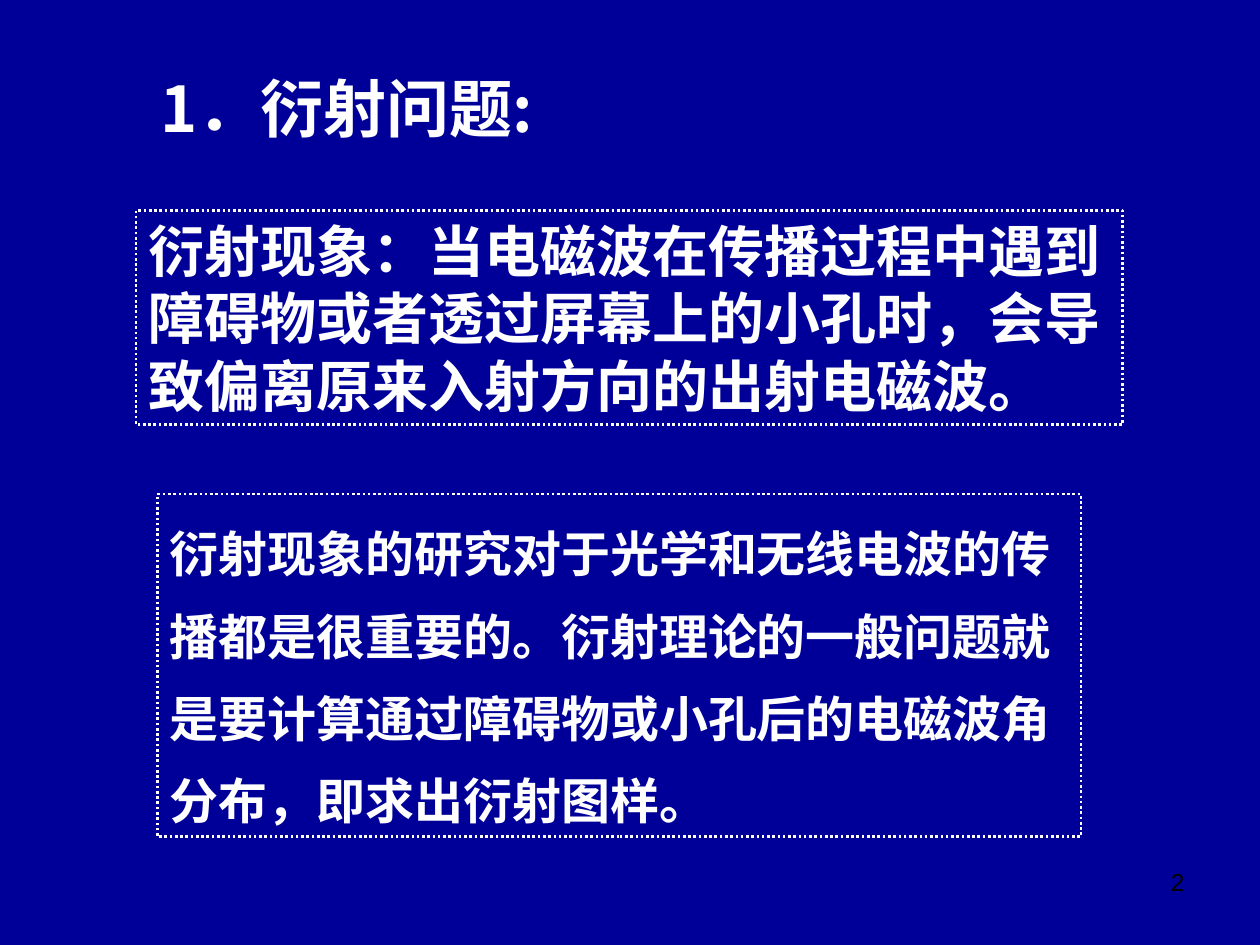
from pptx import Presentation
from pptx.dml.color import RGBColor
from pptx.enum.dml import MSO_LINE
from pptx.enum.shapes import MSO_SHAPE
from pptx.enum.text import MSO_ANCHOR as Anchor, MSO_AUTO_SIZE as Fit, PP_ALIGN as Align
from pptx.oxml.ns import qn
from pptx.util import Inches, Pt

# Content
HEAD = "1．衍射问题:"
NOTES = [  # text, place, size, line spacing
    ("衍射现象：当电磁波在传播过程中遇到障碍物或者透过屏幕上的小孔时，"
     "会导致偏离原来入射方向的出射电磁波。", (1.08, 1.67, 7.83, 1.7), 32, None),
    ("衍射现象的研究对于光学和无线电波的传播都是很重要的。"
     "衍射理论的一般问题就是要计算通过障碍物或小孔后的电磁波角分布，"
     "即求出衍射图样。", (1.25, 3.92, 7.33, 2.72), 28, 1.4),
]
PAGE = "2"
CJK, LATIN = "Noto Sans CJK SC", "Arial"
WHITE, BLACK, NAVY = "FFFFFF", "000000", "000099"


def paint(color, hue):
    color.rgb = RGBColor.from_string(hue)


def place(shape, box):
    shape.left, shape.top, shape.width, shape.height = map(Inches, box)


def write(shape, text, size, face, hue, bold=False, align=Align.LEFT,
          lead=None, wrap=True):
    frame = shape.text_frame
    frame.text = text
    frame.word_wrap = wrap
    frame.auto_size = Fit.NONE
    frame.vertical_anchor = Anchor.TOP
    para = frame.paragraphs[0]
    para.alignment = align
    if lead:
        para.line_spacing = lead
    font = para.runs[0].font
    font.size, font.name, font.bold = Pt(size), face, bold
    paint(font.color, hue)
    east = font._element.makeelement(qn("a:ea"), {"typeface": face})
    font._element.find(qn("a:latin")).addnext(east)


# Slide
deck = Presentation()
deck.slide_width, deck.slide_height = Inches(10), Inches(7.5)
slide = deck.slides.add_slide(deck.slide_layouts[5])
fill = slide.background.fill
fill.solid()
paint(fill.fore_color, NAVY)

# Title
title = slide.shapes.title
place(title, (1.17, 0.5, 3.51, 0.7))
write(title, HEAD, 36, CJK, WHITE, bold=True, wrap=False)

# Dotted boxes
for text, box, size, lead in NOTES:
    note = slide.shapes.add_shape(MSO_SHAPE.RECTANGLE, *map(Inches, box))
    note.shadow.inherit = False
    note.fill.background()
    paint(note.line.color, WHITE)
    note.line.width = Pt(1.5)
    note.line.dash_style = MSO_LINE.ROUND_DOT
    write(note, text, size, CJK, WHITE, bold=True, lead=lead)

# Page number
page = slide.shapes.add_textbox(*map(Inches, (7.17, 6.83, 2.33, 0.52)))
write(page, PAGE, 14, LATIN, BLACK, align=Align.RIGHT)

deck.save("out.pptx")
